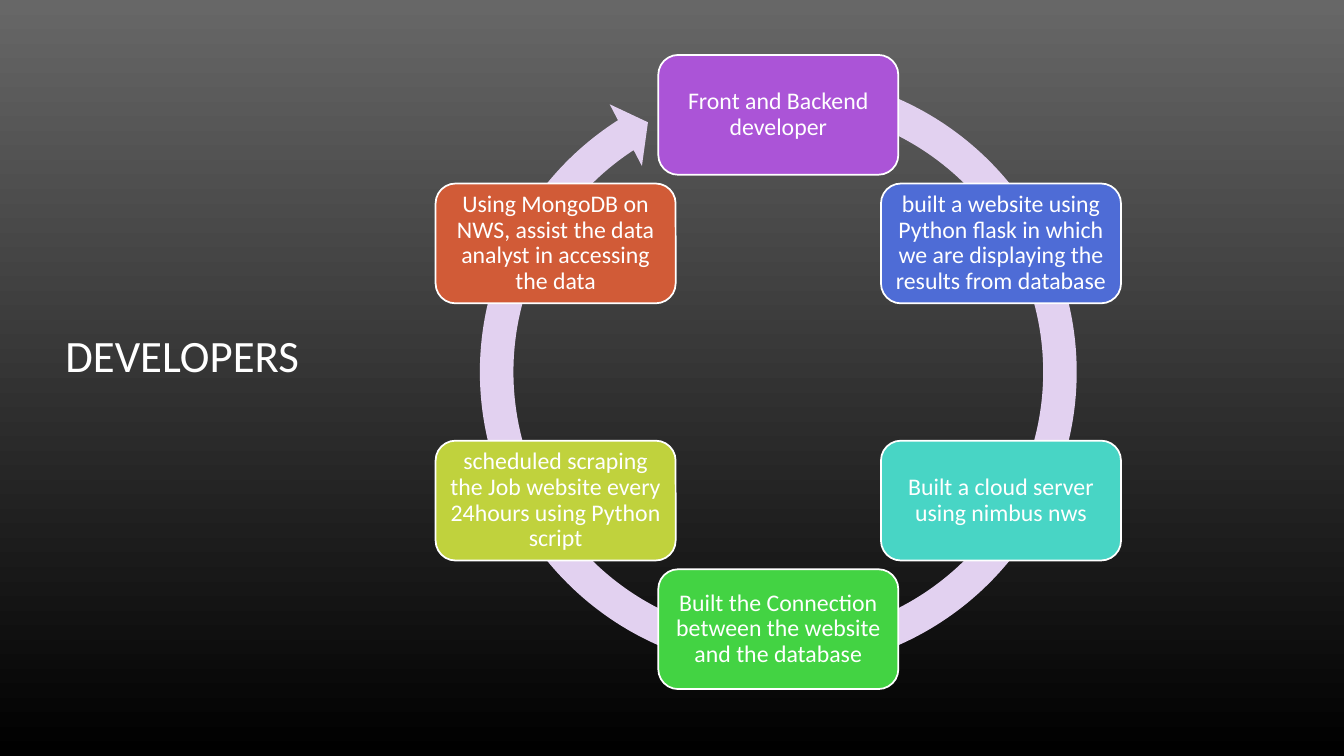
from math import cos, radians, sin

from pptx import Presentation
from pptx.dml.color import RGBColor
from pptx.enum.shapes import MSO_SHAPE
from pptx.enum.text import MSO_ANCHOR, PP_ALIGN
from pptx.util import Cm, Pt

ROUNDED = MSO_SHAPE.ROUNDED_RECTANGLE
CIRCULAR_ARROW = MSO_SHAPE.CIRCULAR_ARROW
MIDDLE = MSO_ANCHOR.MIDDLE
LEFT, CENTER = PP_ALIGN.LEFT, PP_ALIGN.CENTER

FONT = "Calibri"
WHITE = RGBColor(0xFF, 0xFF, 0xFF)
GREY = RGBColor(0x67, 0x67, 0x67)
BLACK = RGBColor(0x00, 0x00, 0x00)
LILAC = RGBColor(0xE2, 0xD1, 0xF0)
PURPLE = RGBColor(0xAB, 0x54, 0xD7)
BLUE = RGBColor(0x4E, 0x6C, 0xD6)
TEAL = RGBColor(0x48, 0xD5, 0xC5)
GREEN = RGBColor(0x43, 0xD3, 0x43)
LIME = RGBColor(0xC0, 0xD2, 0x3D)
ORANGE = RGBColor(0xD1, 0x5B, 0x37)

# Clockwise from the top
STEPS = [
    ("Front and Backend developer", PURPLE),
    ("built a website using Python flask in which we are displaying the "
     "results from database", BLUE),
    ("Built a cloud server using nimbus nws", TEAL),
    ("Built the Connection between the website and the database", GREEN),
    ("scheduled scraping the Job website every 24hours using Python script",
     LIME),
    ("Using MongoDB on NWS, assist the data analyst in accessing the data",
     ORANGE),
]


def write(shape, text, size, align=LEFT, margin=None):
    tf = shape.text_frame
    tf.word_wrap = True
    tf.vertical_anchor = MIDDLE
    if margin is not None:
        tf.margin_left = tf.margin_right = margin
        tf.margin_top = tf.margin_bottom = margin
    p = tf.paragraphs[0]
    p.alignment = align
    p.line_spacing = 0.9
    r = p.add_run()
    r.text = text
    r.font.name = FONT
    r.font.size = Pt(size)
    r.font.color.rgb = WHITE


def add_filled(slide, preset, cx, cy, width, height, fill):
    """Add a preset shape centred on a point."""
    sp = slide.shapes.add_shape(
        preset, int(cx - width / 2), int(cy - height / 2), width, height)
    sp.shadow.inherit = False
    sp.fill.solid()
    sp.fill.fore_color.rgb = fill
    sp.line.fill.background()
    return sp


def add_background(slide):
    fill = slide.background.fill
    fill.gradient()
    fill.gradient_angle = 270
    for stop, color in zip(fill.gradient_stops, (GREY, BLACK)):
        stop.color.rgb = color


def add_title(slide, left, top, width, height):
    sp = slide.shapes.add_textbox(left, top, width, height)
    write(sp, "DEVELOPERS", 32)


def add_cycle(slide, left, top, size):
    cx, cy = left + size / 2, top + size / 2

    # Ring: thickness, head angle, end angle, start angle, head width
    ring = add_filled(slide, CIRCULAR_ARROW, cx, cy, size, size, LILAC)
    for i, value in enumerate((0.053, 3.126, 142.335, 171.239, 0.055)):
        ring.adjustments[i] = value

    # Step cards, evenly spaced round the ring
    radius = Cm(6.48)
    for i, (text, color) in enumerate(STEPS):
        angle = radians(360 * i / len(STEPS) - 90)
        card = add_filled(slide, ROUNDED, cx + radius * cos(angle),
                          cy + radius * sin(angle), Cm(6.05), Cm(3.02), color)
        card.line.color.rgb = WHITE
        card.line.width = Pt(1.25)
        write(card, text, 17, align=CENTER, margin=Cm(0.17))


def main():
    prs = Presentation()
    prs.slide_width, prs.slide_height = Cm(33.87), Cm(19.05)
    slide = prs.slides.add_slide(prs.slide_layouts[6])
    add_background(slide)
    add_title(slide, Cm(1.4), Cm(7.31), Cm(7.9), Cm(3.44))
    add_cycle(slide, Cm(11.64), Cm(1.4), Cm(15.95))
    prs.save("out.pptx")


if __name__ == "__main__":
    main()
